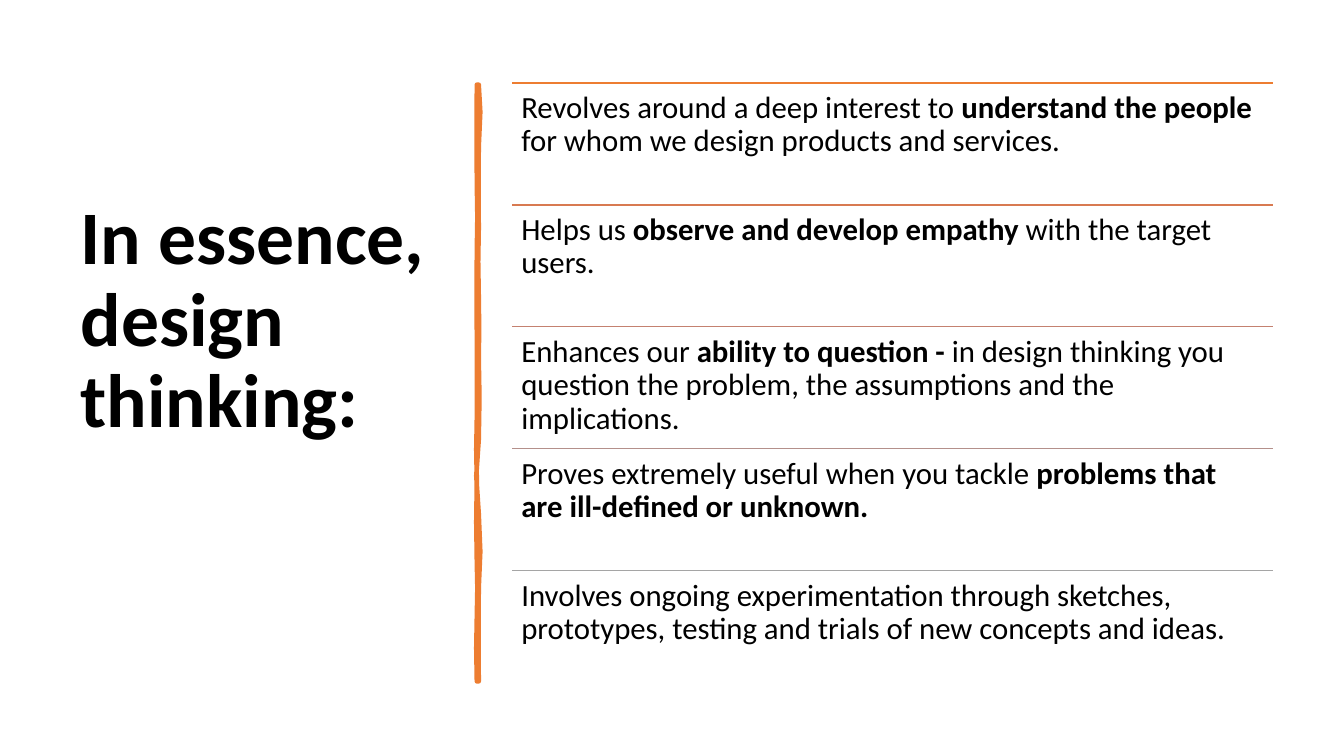
"""Build the design thinking summary slide."""
from typing import NamedTuple

from lxml import etree
from pptx import Presentation
from pptx.dml.color import RGBColor
from pptx.enum.shapes import MSO_CONNECTOR
from pptx.enum.text import MSO_ANCHOR, MSO_AUTO_SIZE, PP_ALIGN
from pptx.oxml.ns import qn
from pptx.util import Pt

STRAIGHT = MSO_CONNECTOR.STRAIGHT
MIDDLE, TOP = MSO_ANCHOR.MIDDLE, MSO_ANCHOR.TOP
LEFT = PP_ALIGN.LEFT
NO_AUTOFIT = MSO_AUTO_SIZE.NONE

FONT = "Calibri"
BLACK = "000000"
ORANGE = "ED7D31"
TITLE_SIZE, POINT_SIZE = 54, 22
POINTS_LEFT, POINTS_TOP = 365.8, 59.2
POINTS_WIDTH, POINT_HEIGHT = 543.4, 87.1
POINT_INSET = 6.6

BRUSH_OUTLINE = [
    (342, 60.5), (343.1, 80), (342, 105), (341.8, 134), (342, 163),
    (341.6, 187), (342, 212), (342.3, 235), (342, 256), (342.5, 284),
    (342, 314), (340.2, 340), (342, 367), (343.1, 394), (342, 420),
    (341.8, 453), (342, 486.7), (340.6, 486.7), (340.2, 463), (340.6, 441),
    (341, 420), (340.6, 401), (340.2, 373), (340.6, 343), (340.2, 321),
    (340.6, 299), (340.6, 270), (340.6, 241), (340.5, 211), (340.6, 180),
    (341, 155), (340.6, 130), (340.5, 95), (340.6, 60.5),
]


class Point(NamedTuple):
    """One statement with an emphasised part and the colour of its rule."""

    rule_color: str
    opening: str
    emphasis: str = ""
    closing: str = ""


DESIGN_POINTS = [
    Point(ORANGE, "Revolves around a deep interest to ", "understand the people ",
          "for whom we design products and services."),
    Point("D87A51", "Helps us ", "observe and develop empathy ",
          "with the target users."),
    Point("C48170", "Enhances our ", "ability to question - ",
          "in design thinking you question the problem, the assumptions "
          "and the implications."),
    Point("B4908B", "Proves extremely useful when you tackle ",
          "problems that are ill-defined or unknown."),
    Point("A5A5A5", "Involves ongoing experimentation through sketches, "
          "prototypes, testing and trials of new concepts and ideas."),
]


def rgb(hex_color: str) -> RGBColor:
    """Turn a hex string into a colour."""
    return RGBColor.from_string(hex_color)


def write(paragraph, text: str, *, size: float, bold: bool = False,
          color: str = BLACK) -> None:
    """Append formatted text to a paragraph."""
    run = paragraph.add_run()
    run.text = text
    run.font.name = FONT
    run.font.size = Pt(size)
    run.font.bold = bold
    run.font.color.rgb = rgb(color)


def prepare_paragraph(frame, anchor):
    """Set up a wrapping frame and return its left-aligned paragraph."""
    frame.word_wrap = True
    frame.auto_size = NO_AUTOFIT
    frame.vertical_anchor = anchor
    paragraph = frame.paragraphs[0]
    paragraph.alignment = LEFT
    paragraph.line_spacing = 0.9
    return paragraph


def add_heading(slide) -> None:
    """Place the title, raised above the middle by its bottom inset."""
    heading = slide.shapes.title
    heading.left, heading.top = Pt(50.4), Pt(39.6)
    heading.width, heading.height = Pt(269.3), Pt(440)
    paragraph = prepare_paragraph(heading.text_frame, MIDDLE)
    heading.text_frame.margin_bottom = Pt(63)
    write(paragraph, "In essence, design thinking:", size=TITLE_SIZE, bold=True)


def add_brush_stroke(slide) -> None:
    """Draw the uneven vertical divider."""
    outline = [(Pt(x), Pt(y)) for x, y in BRUSH_OUTLINE]
    builder = slide.shapes.build_freeform(*outline[0])
    builder.add_line_segments(outline[1:], close=True)
    stroke = builder.convert_to_shape()
    stroke.shadow.inherit = False
    stroke.fill.solid()
    stroke.fill.fore_color.rgb = rgb(ORANGE)
    stroke.line.color.rgb = rgb(ORANGE)
    stroke.line.width = Pt(3.25)
    etree.SubElement(stroke._element.spPr.find(qn("a:ln")), qn("a:round"))


def add_point(slide, point: Point, top: float) -> None:
    """Draw a rule and the statement below it."""
    rule = slide.shapes.add_connector(
        STRAIGHT, Pt(POINTS_LEFT), Pt(top), Pt(POINTS_LEFT + POINTS_WIDTH), Pt(top))
    rule.line.color.rgb = rgb(point.rule_color)
    rule.line.width = Pt(1)
    etree.SubElement(rule._element.spPr, qn("a:effectLst"))

    statement = slide.shapes.add_textbox(
        Pt(POINTS_LEFT), Pt(top), Pt(POINTS_WIDTH), Pt(POINT_HEIGHT))
    frame = statement.text_frame
    frame.margin_left = frame.margin_right = Pt(POINT_INSET)
    frame.margin_top = frame.margin_bottom = Pt(POINT_INSET)
    paragraph = prepare_paragraph(frame, TOP)
    parts = ((point.opening, False), (point.emphasis, True), (point.closing, False))
    for text, bold in parts:
        if text:
            write(paragraph, text, size=POINT_SIZE, bold=bold)


def main() -> None:
    """Build and save the presentation."""
    presentation = Presentation()
    presentation.slide_width, presentation.slide_height = Pt(960), Pt(540)
    slide = presentation.slides.add_slide(presentation.slide_layouts[5])
    add_heading(slide)
    add_brush_stroke(slide)
    for row, point in enumerate(DESIGN_POINTS):
        add_point(slide, point, POINTS_TOP + row * POINT_HEIGHT)
    presentation.save("out.pptx")


if __name__ == "__main__":
    main()
